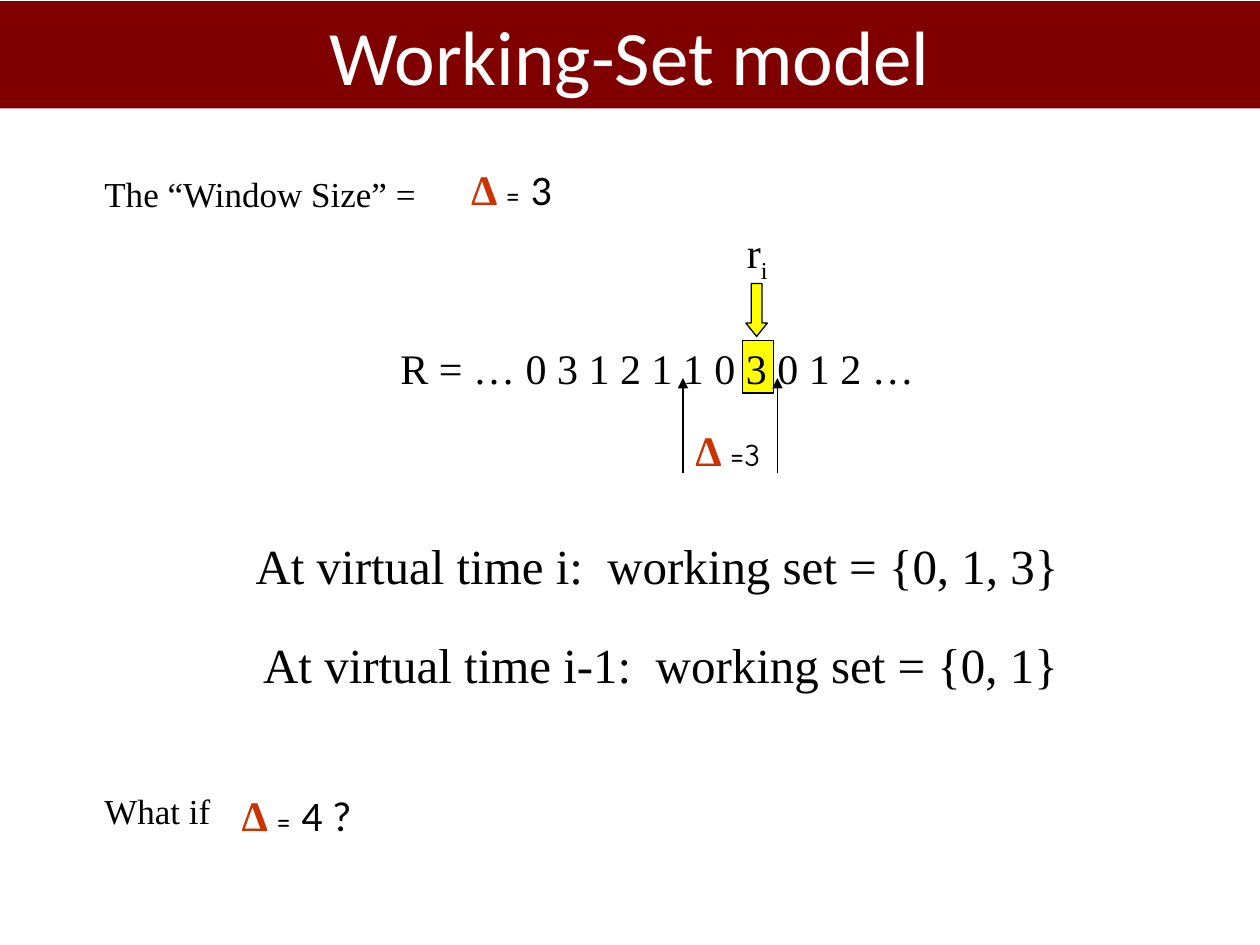
from dataclasses import dataclass

from lxml import etree
from pptx import Presentation
from pptx import util as u
from pptx.dml.color import RGBColor
from pptx.enum import shapes, text
from pptx.oxml.ns import qn


@dataclass(frozen=True)
class Theme:
    ink: str = "000000"
    paper: str = "FFFFFF"
    banner: str = "800000"
    accent: str = "CC3300"
    mark: str = "FFFF00"
    serif: str = "Times New Roman"
    sans: str = "Calibri"
    comic: str = "Comic Neue"
    title: int = 44
    large: int = 28
    mid: int = 24
    body: int = 20
    small: int = 18
    line: float = 0.75


T = Theme()


def rgb(code):
    return RGBColor.from_string(code)


def style(run, size, face=T.serif, color=T.ink, bold=False):
    font = run.font
    font.size, font.name, font.bold = u.Pt(size), face, bold
    font.color.rgb = rgb(color)


def add_text(parent, box, parts, wrap=False):
    """Add a one-line text box; each part is (words, size, face, color, bold)."""
    label = parent.add_textbox(*map(u.Inches, box))
    frame = label.text_frame
    frame.word_wrap = wrap
    frame.auto_size = text.MSO_AUTO_SIZE.SHAPE_TO_FIT_TEXT
    for words, *look in parts:
        run = frame.paragraphs[0].add_run()
        run.text = words
        style(run, *look)
    return label


def add_delta(parent, box, *rest, wrap=False):
    delta = ("Δ ", T.mid, T.serif, T.accent, True)
    return add_text(parent, box, [delta, *rest], wrap)


def add_block(parent, kind, box, fill, line=None):
    block = parent.add_shape(kind, *map(u.Inches, box))
    block.shadow.inherit = False
    block.fill.solid()
    block.fill.fore_color.rgb = rgb(fill)
    if line:
        block.line.color.rgb = rgb(line)
        block.line.width = u.Pt(T.line)
    else:
        block.line.fill.background()
    return block


def add_arrow(parent, x, start, end):
    arrow = parent.add_connector(
        shapes.MSO_CONNECTOR.STRAIGHT, *map(u.Inches, (x, start, x, end)))
    arrow.line.color.rgb = rgb(T.ink)
    arrow.line.width = u.Pt(T.line)
    etree.SubElement(arrow.line._get_or_add_ln(), qn("a:tailEnd"), type="triangle")
    etree.SubElement(arrow._element.spPr, qn("a:effectLst"))


def add_banner(parent, words):
    bar = add_block(parent, shapes.MSO_SHAPE.RECTANGLE, (0, 0.01, 10, 0.85), T.banner)
    frame = bar.text_frame
    frame.text = words
    frame.vertical_anchor = text.MSO_ANCHOR.MIDDLE
    line = frame.paragraphs[0]
    line.alignment = text.PP_ALIGN.CENTER
    style(line.runs[0], T.title, T.sans, T.paper)


def add_trace(parent):
    # Marked reference in the string
    add_block(parent, shapes.MSO_SHAPE.RECTANGLE, (5.89, 2.7, 0.25, 0.42), T.mark, T.ink)
    add_text(parent, (3.08, 2.67, 4.28, 0.5), [("R = … 0 3 1 2 1 1 0 3 0 1 2 …", T.mid)])

    # Pointer to the current reference
    label = add_text(parent, (5.83, 1.75, 0.38, 0.5), [("r", T.mid), ("i", T.mid)])
    index = label.text_frame.paragraphs[0].runs[1]
    index._r.get_or_add_rPr().set("baseline", "-25000")
    pointer = add_block(parent, shapes.MSO_SHAPE.DOWN_ARROW,
                        (5.92, 2.25, 0.17, 0.42), T.mark, T.ink)
    pointer.adjustments[0], pointer.adjustments[1] = 0.5, 0.625

    # Window edges and width
    for x in (6.17, 5.42):
        add_arrow(parent, x, 3.75, 3)
    add_delta(parent, (5.42, 3.32, 0.77, 0.5), ("=3", T.small, T.comic))


def main():
    deck = Presentation()
    deck.slide_width, deck.slide_height = u.Inches(10), u.Inches(7.5)
    slide = deck.slides.add_slide(deck.slide_layouts[6])
    tree = slide.shapes
    equals = ("= ", T.small, T.comic)

    add_trace(tree)

    # Window size and working sets
    add_text(tree, (0.73, 1.32, 2.69, 0.44), [("The “Window Size” =", T.body)])
    add_text(tree, (1.99, 4.99, 6.52, 0.57),
             [("At virtual time i-1:  working set = {0, 1}", T.large)])
    add_text(tree, (1.93, 4.2, 6.58, 0.57),
             [("At virtual time i:  working set = {0, 1, 3}", T.large)])
    add_banner(tree, "Working-Set model")
    add_delta(tree, (3.64, 1.25, 0.93, 0.5), equals, ("3", T.mid, T.sans), wrap=True)

    # Closing question
    query = tree.add_group_shape().shapes
    add_text(query, (0.73, 6.22, 1.09, 0.44), [("What if", T.body)])
    add_delta(query, (1.82, 6.22, 2.09, 0.5), equals, ("4 ?", T.mid, T.sans), wrap=True)

    deck.save("out.pptx")


if __name__ == "__main__":
    main()
